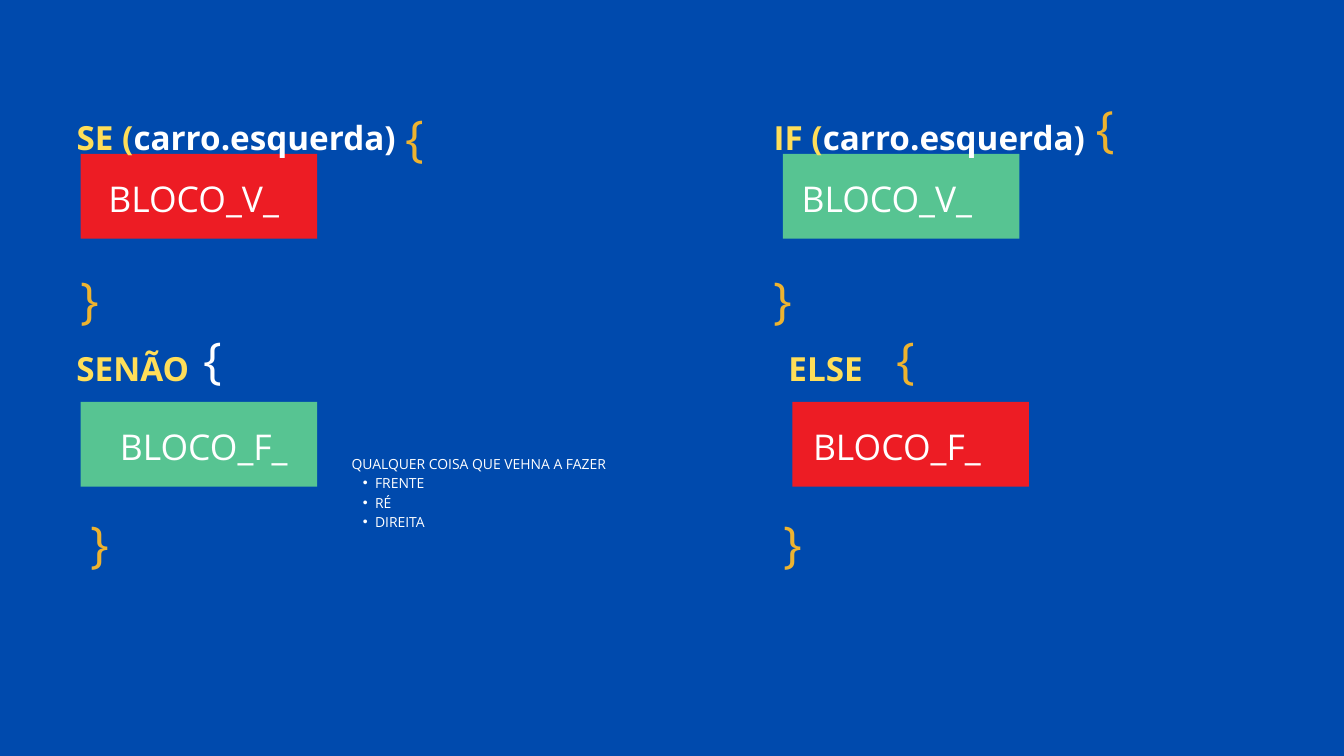
from dataclasses import dataclass

from lxml import etree
from pptx import Presentation
from pptx.dml.color import RGBColor
from pptx.enum.shapes import MSO_SHAPE
from pptx.enum.text import PP_ALIGN
from pptx.oxml.ns import qn
from pptx.util import Pt

RECTANGLE = MSO_SHAPE.RECTANGLE
LEFT, CENTER = PP_ALIGN.LEFT, PP_ALIGN.CENTER


@dataclass(frozen=True)
class Theme:
    font: str = "Open Sans"
    background: str = "004AAD"
    keyword: str = "FFDE59"
    brace: str = "EDB330"
    text: str = "FFFFFF"
    green: str = "57C492"
    red: str = "ED1C24"
    keyword_size: float = 35.6
    block_size: float = 38
    brace_size: float = 53
    note_size: float = 14.9
    line_factor: float = 1.4


def format_run(paragraph, text, font, size, color, bold=False):
    run = paragraph.add_run()
    run.text = text
    run.font.name = font
    run.font.size = Pt(size)
    run.font.bold = bold
    run.font.color.rgb = RGBColor.from_string(color)


class CodeSlide:
    def __init__(self, slide, theme):
        self.slide = slide
        self.theme = theme
        fill = slide.background.fill
        fill.solid()
        fill.fore_color.rgb = RGBColor.from_string(theme.background)

    def text(self, left, top, width, height, lines, size, align=CENTER, bold=False, bullets=False):
        """Each line is a list of (text, color) runs; bullets mark every line after the first."""
        box = self.slide.shapes.add_textbox(Pt(left), Pt(top), Pt(width), Pt(height))
        frame = box.text_frame
        frame.word_wrap = True
        frame.margin_left = frame.margin_right = frame.margin_top = frame.margin_bottom = 0
        for index, runs in enumerate(lines):
            paragraph = frame.add_paragraph() if index else frame.paragraphs[0]
            paragraph.alignment = align
            paragraph.line_spacing = Pt(round(size * self.theme.line_factor, 1))
            if bullets and index:
                self.bullet(paragraph)
            for text, color in runs:
                format_run(paragraph, text, self.theme.font, size, color, bold)
        return box

    def bullet(self, paragraph):
        paragraph.level = 1
        properties = paragraph._p.get_or_add_pPr()
        properties.set("marL", str(Pt(25.2)))
        properties.set("indent", str(-Pt(13)))
        etree.SubElement(properties, qn("a:buFont"), typeface="Arial")
        etree.SubElement(properties, qn("a:buChar"), char="•")

    def block(self, left, top, color):
        shape = self.slide.shapes.add_shape(RECTANGLE, Pt(left), Pt(top), Pt(253.5), Pt(90.7))
        shape.shadow.inherit = False
        shape.fill.solid()
        shape.fill.fore_color.rgb = RGBColor.from_string(color)
        shape.line.fill.background()

    def block_label(self, left, top, text):
        self.text(left, top, 253.5, 51.1, [[(text, self.theme.text)]], self.theme.block_size)

    def keyword(self, left, top, width, word, condition=""):
        runs = [(word, self.theme.keyword)]
        if condition:
            runs.append((condition, self.theme.text))
        self.text(left, top, width, 46.8, [runs], self.theme.keyword_size, bold=True)

    def brace(self, left, top, symbol, color=None, rotation=0):
        runs = [(symbol, color or self.theme.brace)]
        box = self.text(left, top, 20.2, 71.3, [runs], self.theme.brace_size)
        box.rotation = rotation

    def note(self, left, top, width, height, lines):
        rows = [[(line, self.theme.text)] for line in lines]
        self.text(left, top, width, height, rows, self.theme.note_size, LEFT, bullets=True)


def main():
    theme = Theme()
    presentation = Presentation()
    presentation.slide_width, presentation.slide_height = Pt(1440), Pt(810)
    slide = presentation.slides.add_slide(presentation.slide_layouts[6])
    code = CodeSlide(slide, theme)

    true_top, false_top = 164.9, 430.6
    code.block(86.4, false_top, theme.green)
    code.block(838.8, true_top, theme.green)
    code.block(86.4, true_top, theme.red)
    code.block(848.9, false_top, theme.red)

    if_top, else_top = 118.1, 366.5
    condition = "carro.esquerda) "
    code.keyword(81.4, if_top, 352.8, "SE (", condition)
    code.keyword(828, if_top, 344.9, "IF (", condition)
    code.keyword(81.4, else_top, 121.7, "SENÃO")
    code.keyword(844.6, else_top, 79.9, "ELSE")

    column_gap = 742.7
    for offset, else_color in ((0, theme.text), (column_gap, theme.brace)):
        code.block_label(80.8 + offset, 182.2, "BLOCO_V_")
        code.block_label(91.6 + offset, 447.8, "BLOCO_F_")
        code.brace(218.3 + offset, 342, "{", else_color)
        code.brace(86.3 + offset, 277.9, "}")
        code.brace(96.4 + offset, 538.6, "}")
    code.brace(434.2, 104.4, "{")
    code.brace(1175, 120.2, "}", rotation=178.9)

    code.note(376.6, 484.6, 272.9, 79.9,
              ["QUALQUER COISA QUE VEHNA A FAZER", "FRENTE", "RÉ", "DIREITA"])

    presentation.save("out.pptx")


if __name__ == "__main__":
    main()
